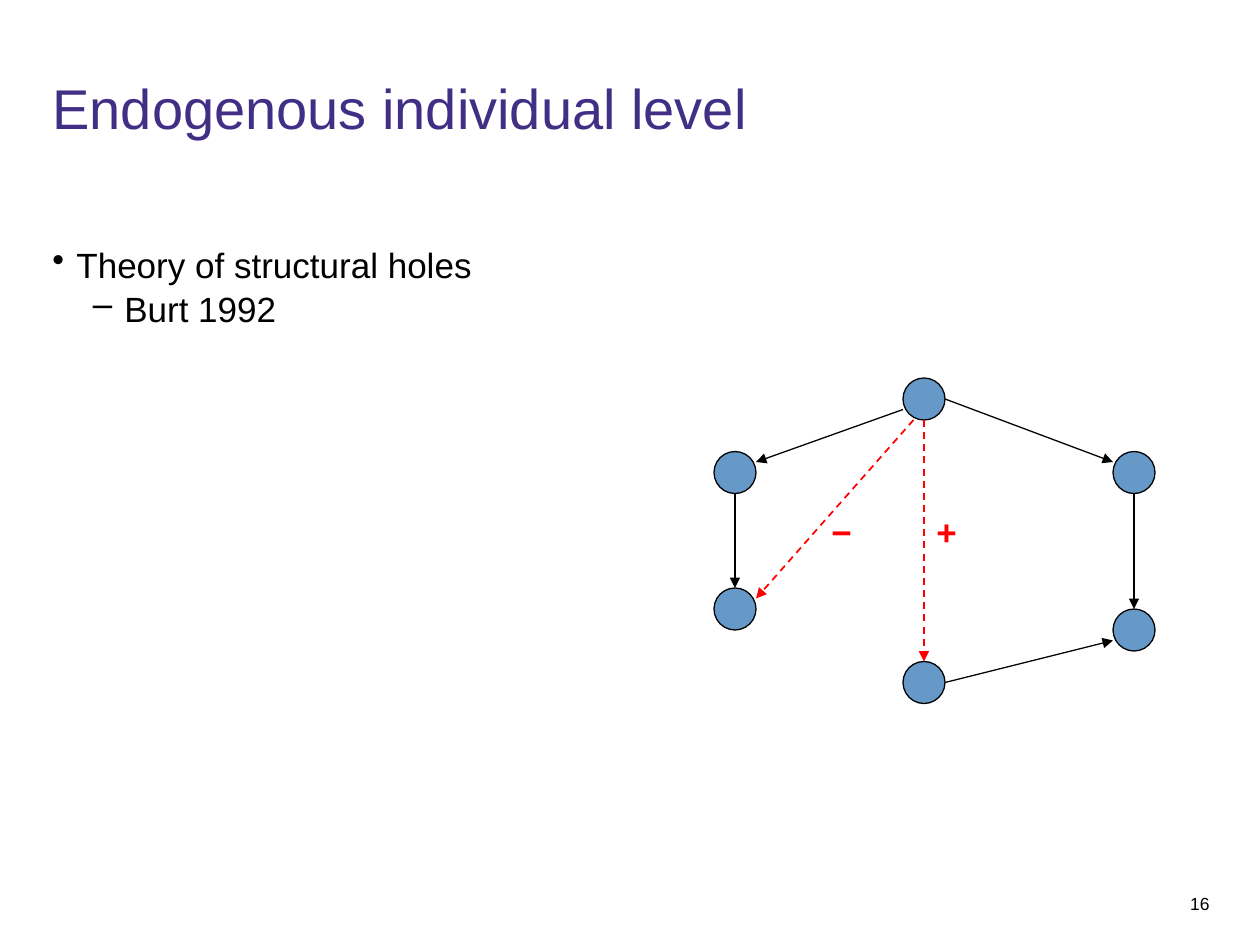
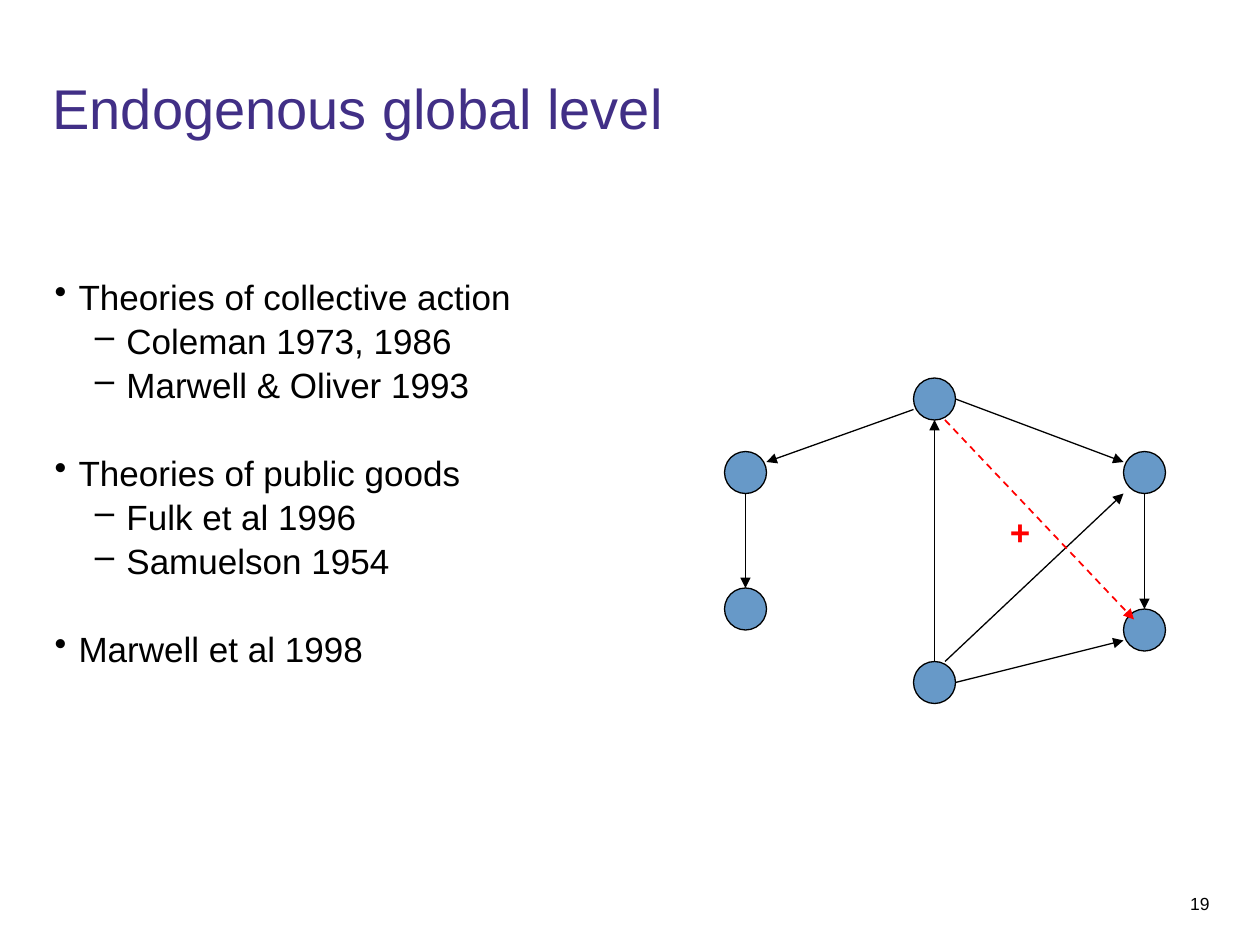
"""Build two slides on network theories, each with a bulleted list and a directed graph."""
from lxml.etree import SubElement
from pptx import Presentation
from pptx.dml.color import RGBColor
from pptx.enum.dml import MSO_LINE
from pptx.enum.shapes import MSO_CONNECTOR, MSO_SHAPE
from pptx.enum.text import MSO_ANCHOR, MSO_AUTO_SIZE, PP_ALIGN
from pptx.oxml.ns import qn
from pptx.util import Inches, Pt

PURPLE = RGBColor(0x41, 0x2F, 0x86)
BLUE = RGBColor(0x67, 0x99, 0xC8)
RED = RGBColor(0xFF, 0x00, 0x00)
BLACK = RGBColor(0x00, 0x00, 0x00)

COLUMNS, ROWS = 120, 90
TITLE_BOX = (5, 7, 109.7, 12)
NUMBER_BOX = (111, 85, 4.2, 2)
NODE_SIZE = 4
LABEL_SIZE = (5, 5.3)

BULLETS = [("•", 0.19, -0.19), ("–", 0.57, -0.25)]

NODES = [(86, 36), (68, 43), (86, 63), (106, 58), (106, 43), (68, 56)]
SHARED_TIES = [
    ((86, 39), (72, 44)),
    ((90, 38), (106, 44)),
    ((108, 47), (108, 58)),
    ((90, 65), (106, 61)),
    ((70, 47), (70, 56)),
]

SLIDES = [
    {
        "title": "Endogenous individual level",
        "number": "16",
        "body_box": (5, 23, 109.7, 54),
        "topics": [("Theory of structural holes", ["Burt 1992"])],
        "graph_shift": 0,
        "ties": [],
        "predicted_ties": [((87, 40), (72, 57)), ((88, 40), (88, 63))],
        "labels": [("−", 78, 48), ("+", 88, 48)],
    },
    {
        "title": "Endogenous global level",
        "number": "19",
        "body_box": (5.2, 26, 50.9, 54),
        "topics": [
            ("Theories of collective action", ["Coleman 1973, 1986", "Marwell & Oliver 1993"]),
            ("Theories of public goods", ["Fulk et al 1996", "Samuelson 1954"]),
            ("Marwell et al 1998", []),
        ],
        "graph_shift": 1,
        "ties": [((88, 63), (88, 40)), ((89, 63), (106, 47))],
        "predicted_ties": [((89, 40), (107, 59))],
        "labels": [("+", 94, 48)],
    },
]

presentation = Presentation()
presentation.slide_width = Inches(10)
presentation.slide_height = Inches(7.5)
cell_width = presentation.slide_width / COLUMNS
cell_height = presentation.slide_height / ROWS


def place(column, row, *size):
    """Turn grid positions, and a size if given, into slide lengths."""
    steps = (cell_width, cell_height, cell_width, cell_height)
    return [round(value * step) for value, step in zip((column, row, *size), steps)]


def write(shape, lines, size, color, bold=False, margins=(0, 0), align=PP_ALIGN.LEFT):
    """Fill a shape with formatted lines and return its paragraphs."""
    frame = shape.text_frame
    frame.text = "\n".join(lines)
    frame.word_wrap = True
    frame.auto_size = MSO_AUTO_SIZE.NONE
    frame.vertical_anchor = MSO_ANCHOR.TOP
    frame.margin_left = frame.margin_right = Inches(margins[0])
    frame.margin_top = frame.margin_bottom = Inches(margins[1])
    for paragraph in frame.paragraphs:
        paragraph.alignment = align
        font = paragraph.runs[0].font
        font.name, font.size, font.bold = "Arial", Pt(size), bold
        font.color.rgb = color
    return frame.paragraphs


for content in SLIDES:
    slide = presentation.slides.add_slide(presentation.slide_layouts[5])
    shift = content["graph_shift"]

    title = slide.shapes.title
    title.left, title.top, title.width, title.height = place(*TITLE_BOX)
    write(title, [content["title"]], 32, PURPLE)

    number = slide.shapes.add_textbox(*place(*NUMBER_BOX))
    write(number, [content["number"]], 10, BLACK, align=PP_ALIGN.RIGHT)

    entries = []
    for topic, references in content["topics"]:
        entries.append((topic, 0))
        entries.extend((reference, 1) for reference in references)
    body = slide.shapes.add_textbox(*place(*content["body_box"]))
    paragraphs = write(body, [text for text, level in entries], 20, BLACK)
    for index, (paragraph, (text, level)) in enumerate(zip(paragraphs, entries)):
        bullet, margin, indent = BULLETS[level]
        paragraph.level = level
        paragraph.line_spacing = 1.05
        paragraph.space_before = Pt(25 if index and level == 0 else 0)
        properties = paragraph._p.get_or_add_pPr()
        properties.set("marL", str(Inches(margin)))
        properties.set("indent", str(Inches(indent)))
        SubElement(properties, qn("a:buChar"), char=bullet)

    for column, row in NODES:
        node = slide.shapes.add_shape(
            MSO_SHAPE.OVAL, *place(column + shift, row, NODE_SIZE, NODE_SIZE)
        )
        node.shadow.inherit = False
        node.fill.solid()
        node.fill.fore_color.rgb = BLUE
        node.line.color.rgb = BLACK
        node.line.width = Pt(0.75)

    ties = [(tie, BLACK, 0.75, MSO_LINE.SOLID) for tie in SHARED_TIES + content["ties"]]
    ties += [(tie, RED, 1, MSO_LINE.DASH) for tie in content["predicted_ties"]]
    for (start, end), color, width, dash in ties:
        arrow = slide.shapes.add_connector(
            MSO_CONNECTOR.STRAIGHT,
            *place(start[0] + shift, start[1]),
            *place(end[0] + shift, end[1]),
        )
        arrow.line.color.rgb = color
        arrow.line.width = Pt(width)
        arrow.line.dash_style = dash
        SubElement(arrow.line._get_or_add_ln(), qn("a:tailEnd"), type="triangle")
        SubElement(arrow._element.spPr, qn("a:effectLst"))

    for sign, column, row in content["labels"]:
        label = slide.shapes.add_textbox(*place(column + shift, row, *LABEL_SIZE))
        paragraphs = write(label, [sign], 20, RED, bold=True, margins=(0.1, 0.05))
        paragraphs[0].space_before = Pt(12.5)

presentation.save("out.pptx")
